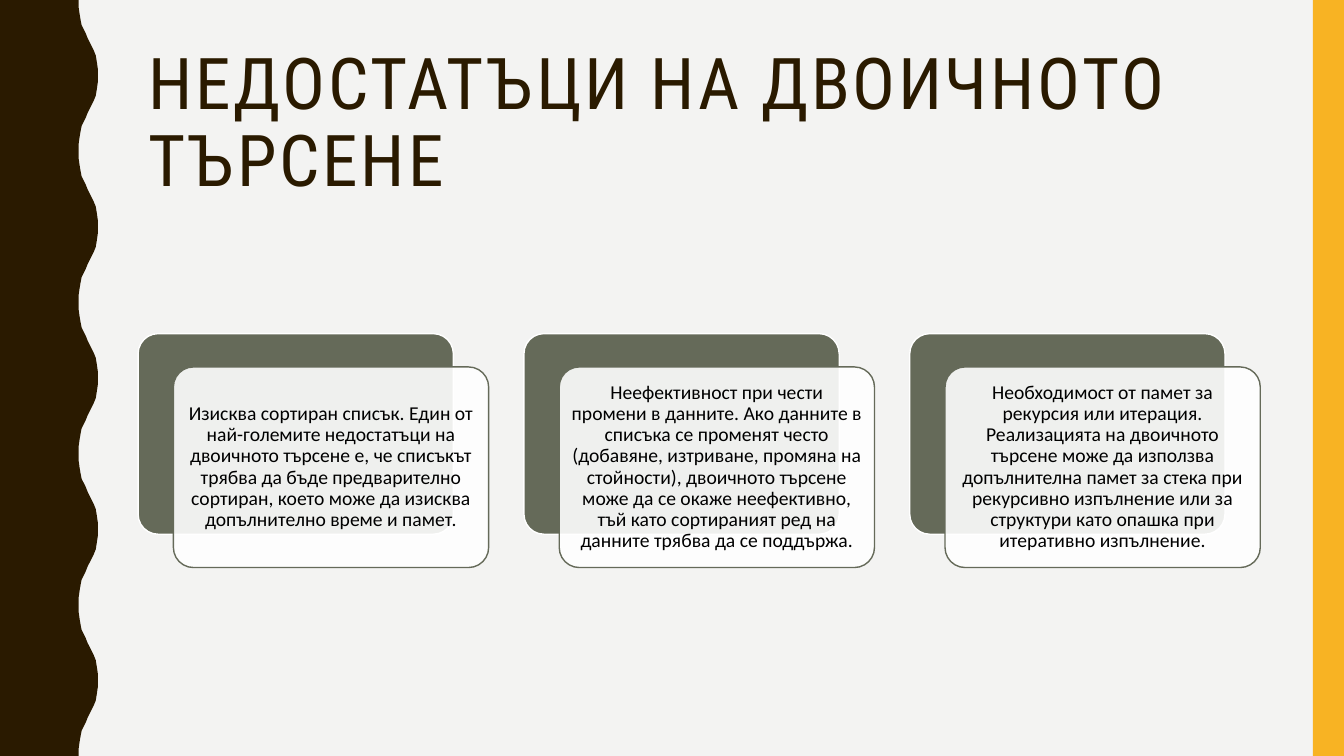
from lxml.etree import SubElement
from pptx import Presentation
from pptx.dml.color import RGBColor
from pptx.enum.shapes import MSO_SHAPE
from pptx.enum.text import MSO_ANCHOR, PP_ALIGN
from pptx.oxml.ns import qn
from pptx.util import Inches, Pt

SLIDE_W, SLIDE_H = 13.33, 7.5
BROWN, YELLOW, OLIVE = "2A1A00", "F8B323", "656A59"
WHITE, BLACK, PAPER = "FFFFFF", "000000", "F3F3F2"

# Half a wave of the left edge, from trough to just before the crest, in hundredths of an inch
WAVE_HEIGHT = 150
HALF_WAVE = [(78, 0), (78, 7), (79, 14), (80, 20), (81, 25), (83, 29), (85, 33),
             (87, 38), (89, 42), (91, 46), (93, 50), (95, 55), (96, 61), (97, 68)]

TITLE = "НЕДОСТАТЪЦИ НА ДВОИЧНОТО ТЪРСЕНЕ"
DRAWBACKS = [
    "Изисква сортиран списък. Един от най-големите недостатъци на двоичното търсене е, "
    "че списъкът трябва да бъде предварително сортиран, което може да изисква "
    "допълнително време и памет.",
    "Неефективност при чести промени в данните. Ако данните в списъка се променят често "
    "(добавяне, изтриване, промяна на стойности), двоичното търсене може да се окаже "
    "неефективно, тъй като сортираният ред на данните трябва да се поддържа.",
    "Необходимост от памет за рекурсия или итерация. Реализацията на двоичното търсене "
    "може да използва допълнителна памет за стека при рекурсивно изпълнение или за "
    "структури като опашка при итеративно изпълнение.",
]


def rgb(hex_colour):
    return RGBColor.from_string(hex_colour)


def paint(shape, fill, line=None, opacity=100):
    shape.shadow.inherit = False
    shape.fill.solid()
    shape.fill.fore_color.rgb = rgb(fill)
    if opacity < 100:
        colour = shape.fill._xPr.find(qn("a:solidFill"))[0]
        SubElement(colour, qn("a:alpha"), val=str(opacity * 1000))
    if line:
        shape.line.color.rgb = rgb(line)
        shape.line.width = Pt(1)
    else:
        shape.line.fill.background()


def add_box(slide, kind, left, top, width, height, **look):
    box = slide.shapes.add_shape(kind, Inches(left), Inches(top), Inches(width), Inches(height))
    if kind == MSO_SHAPE.ROUNDED_RECTANGLE:
        box.adjustments[0] = 0.1
    paint(box, **look)
    return box


def write(shape, text, font, size, colour, align=PP_ALIGN.LEFT, insets=(0.1, 0.05), spacing=0):
    frame = shape.text_frame
    frame.word_wrap = True
    frame.vertical_anchor = MSO_ANCHOR.MIDDLE
    frame.margin_left = frame.margin_right = Inches(insets[0])
    frame.margin_top = frame.margin_bottom = Inches(insets[1])
    paragraph = frame.paragraphs[0]
    paragraph.alignment = align
    paragraph.line_spacing = 0.9
    run = paragraph.add_run()
    run.text = text
    run.font.name = font
    run.font.size = Pt(size)
    run.font.color.rgb = rgb(colour)
    if spacing:
        run.font._element.set("spc", str(spacing * 100))


def add_wavy_edge(slide, height):
    bottom = round(height * 100)
    crest_and_fall = [(97, 75)] + [(x, WAVE_HEIGHT - y) for x, y in reversed(HALF_WAVE[1:])]
    wave = HALF_WAVE + crest_and_fall
    edge = [(x, top + y) for top in range(0, bottom, WAVE_HEIGHT) for x, y in wave]
    builder = slide.shapes.build_freeform(0, 0, scale=Inches(0.01))
    builder.add_line_segments(edge + [(78, bottom), (0, bottom)], close=True)
    paint(builder.convert_to_shape(), BROWN)


def add_title(slide, left, top, width, height):
    title = slide.shapes.add_textbox(Inches(left), Inches(top), Inches(width), Inches(height))
    write(title, TITLE, "Roboto Condensed", 51, BROWN, spacing=2)


def add_drawback(slide, text, left, top, width, height):
    """Place a solid back plate and, shifted down and right, the card with the text."""
    shift_x, shift_y = 0.35, 0.33
    size = width - shift_x, height - shift_y
    add_box(slide, MSO_SHAPE.ROUNDED_RECTANGLE, left, top, *size, fill=OLIVE, line=WHITE)
    card = add_box(slide, MSO_SHAPE.ROUNDED_RECTANGLE, left + shift_x, top + shift_y, *size,
                   fill=WHITE, line=OLIVE, opacity=90)
    write(card, text, "Calibri", 14, BLACK, align=PP_ALIGN.CENTER, insets=(0.06, 0.06))


def add_drawbacks(slide, left, top, width, height, gap=0.35):
    card_width = (width - gap * (len(DRAWBACKS) - 1)) / len(DRAWBACKS)
    for column, text in enumerate(DRAWBACKS):
        add_drawback(slide, text, left + column * (card_width + gap), top, card_width, height)


def main():
    deck = Presentation()
    deck.slide_width, deck.slide_height = Inches(SLIDE_W), Inches(SLIDE_H)
    slide = deck.slides.add_slide(deck.slide_layouts[6])
    slide.background.fill.solid()
    slide.background.fill.fore_color.rgb = rgb(PAPER)

    add_wavy_edge(slide, SLIDE_H)
    stripe = 0.31
    add_box(slide, MSO_SHAPE.RECTANGLE, SLIDE_W - stripe, 0, stripe, SLIDE_H, fill=YELLOW)
    add_title(slide, 1.37, 0.42, 11.13, 1.63)
    add_drawbacks(slide, 1.37, 3.31, 11.13, 2.32)
    deck.save("out.pptx")


if __name__ == "__main__":
    main()
